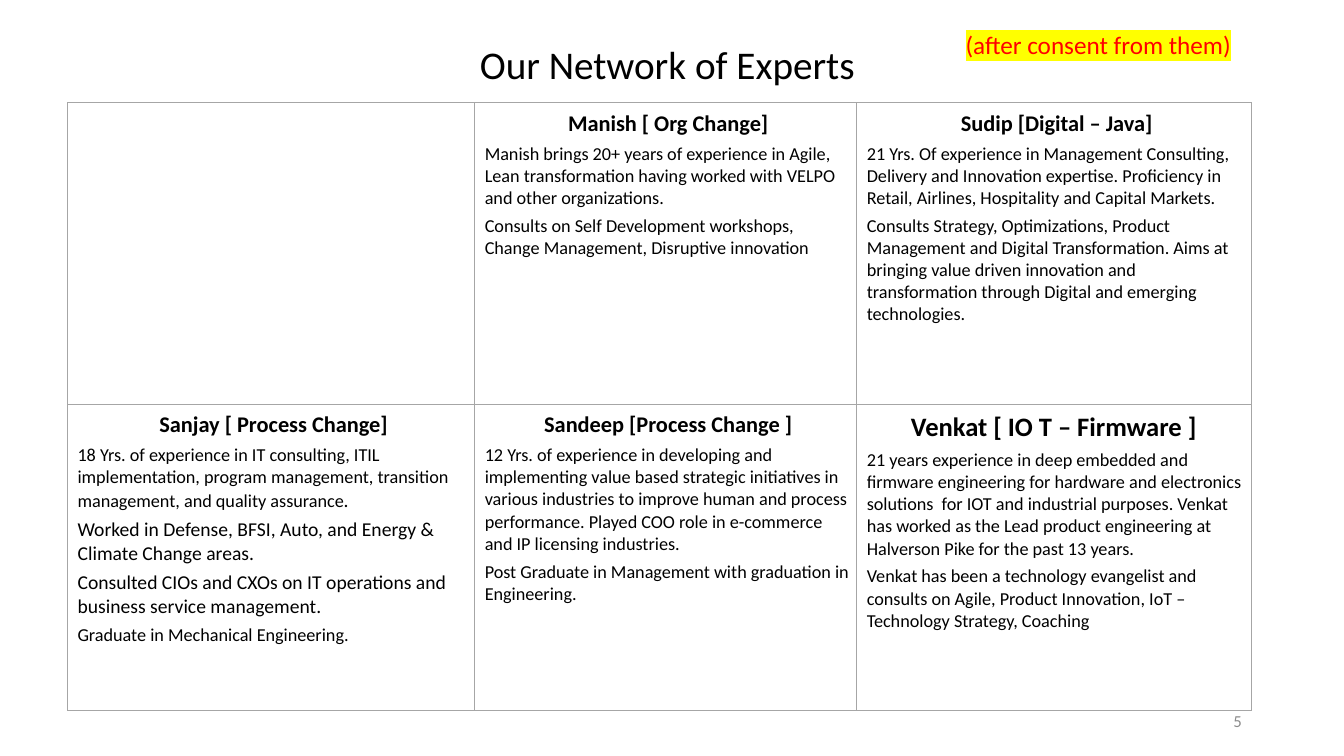
from lxml import etree
from pptx import Presentation
from pptx.dml.color import RGBColor as RGB
from pptx.enum.text import MSO_ANCHOR as ANCHOR, PP_ALIGN as ALIGN
from pptx.oxml import parse_xml
from pptx.oxml.ns import qn
from pptx.util import Pt

FONT, BLACK, WHITE, BORDER = "Calibri", "000000", "FFFFFF", "A6A6A6"
BODY, LARGE, HEAD = 13, 14, 16
NS = "http://schemas.openxmlformats.org/drawingml/2006/main"

# Each expert: heading, heading size, paragraphs; a paragraph lists (text, size) runs.
MANISH = ("Manish [ Org Change]", HEAD, [
    [("Manish brings 20+ years of experience in Agile, Lean transformation having "
      "worked with VELPO and other organizations. ", BODY)],
    [("Consults on Self Development workshops, Change Management, Disruptive "
      "innovation", BODY)],
])
SUDIP = ("Sudip [Digital – Java]", HEAD, [
    [("21 Yrs. Of experience in Management Consulting, Delivery and Innovation "
      "expertise. Proficiency in Retail, Airlines, Hospitality and Capital "
      "Markets. ", BODY)],
    [("Consults Strategy, Optimizations, Product Management and Digital "
      "Transformation. Aims at bringing value driven innovation and transformation "
      "through Digital and emerging technologies.", BODY)],
])
SANJAY = ("Sanjay [ Process Change]", HEAD, [
    [("18 Yrs. of experience in IT consulting, ITIL implementation, program "
      "management, transition management, and quality assurance", BODY), (".", LARGE)],
    [("Worked in Defense, BFSI, Auto, and Energy & Climate Change areas.", LARGE)],
    [("Consulted CIOs and CXOs on IT operations and business service management.",
      LARGE)],
    [("Graduate in Mechanical Engineering.", BODY)],
])
SANDEEP = ("Sandeep [Process Change ]", HEAD, [
    [("12 Yrs. of experience in developing and implementing value based strategic "
      "initiatives in various industries to improve human and process performance. "
      "Played COO role in e-commerce and IP licensing industries.", BODY)],
    [("Post Graduate in Management with graduation in Engineering.", BODY)],
])
VENKAT = ("Venkat [ IO T – Firmware ] ", 19, [
    [("21 years experience in deep embedded and firmware engineering for hardware "
      "and electronics solutions  for IOT and industrial purposes. Venkat has "
      "worked as the Lead product engineering at Halverson Pike for the past 13 "
      "years.", BODY)],
    [("Venkat has been a technology evangelist and consults on Agile, Product "
      "Innovation, IoT – Technology Strategy, Coaching", BODY)],
])
EXPERTS = [[None, MANISH, SUDIP], [SANJAY, SANDEEP, VENKAT]]
COLS, ROWS = (290.9, 272.9, 282.2), (215.3, 218.9)
TABLE_LEFT, TABLE_TOP = 48.2, 73.4

# Text, box in points, size, colour, highlight, alignment, anchor, wrap
LABELS = [
    ("Our Network of Experts", (335.5, 25.2, 282.2, 41), 28, BLACK, None,
     ALIGN.CENTER, ANCHOR.TOP, False),
    ("(after consent from them)", (682.6, 17.3, 206.6, 28.8), 18, "FF0000", "FFFF00",
     ALIGN.LEFT, ANCHOR.TOP, False),
    ("5", (678.2, 500.4, 216, 28.8), 12, "8C8C8C", None,
     ALIGN.RIGHT, ANCHOR.MIDDLE, True),
]


def set_all(obj, values):
    """Set every attribute in a dict on an object."""
    for name, value in values.items():
        setattr(obj, name, value)


def paint(fill, color):
    """Make a fill solid in a hex colour."""
    fill.solid()
    fill.fore_color.rgb = RGB.from_string(color)


def add_run(p, text, size, color=BLACK, bold=False):
    """Append a formatted run to a paragraph."""
    r = p.add_run()
    r.text = text
    set_all(r.font, {"name": FONT, "size": Pt(size), "bold": bold})
    paint(r.font.fill, color)
    return r


def highlight(r, color):
    """Mark a run with a background colour."""
    mark = etree.Element(qn("a:highlight"))
    etree.SubElement(mark, qn("a:srgbClr")).set("val", color)
    r.font.fill  # ensures the run properties exist
    r._r.rPr.find(qn("a:solidFill")).addnext(mark)


def add_label(slide, text, box, size, color, mark, align, anchor, wrap):
    """Add a one-line text box."""
    tf = slide.shapes.add_textbox(*map(Pt, box)).text_frame
    set_all(tf, {"word_wrap": wrap, "vertical_anchor": anchor})
    p = tf.paragraphs[0]
    p.alignment = align
    r = add_run(p, text, size, color)
    if mark:
        highlight(r, mark)


def style_cell(cell):
    """Give a cell its margins, fill and four borders."""
    set_all(cell, {"margin_left": Pt(7.2), "margin_right": Pt(3.6),
                   "margin_top": Pt(5), "margin_bottom": Pt(5)})
    paint(cell.fill, WHITE)
    tc_pr = cell._tc.get_or_add_tcPr()
    for i, side in enumerate("LRTB"):
        tc_pr.insert(i, parse_xml(
            f'<a:ln{side} xmlns:a="{NS}" w="{Pt(0.75)}"><a:solidFill>'
            f'<a:srgbClr val="{BORDER}"/></a:solidFill></a:ln{side}>'))


def fill_cell(cell, heading, size, paragraphs):
    """Write an expert's heading and profile into a cell."""
    tf = cell.text_frame
    for i, runs in enumerate([[(heading, size)], *paragraphs]):
        p = tf.add_paragraph() if i else tf.paragraphs[0]
        set_all(p, {"alignment": ALIGN.LEFT if i else ALIGN.CENTER,
                    "space_before": Pt(2), "space_after": Pt(2)})
        for text, run_size in runs:
            add_run(p, text, run_size, bold=not i)


def add_experts(slide):
    """Add the table of experts."""
    table = slide.shapes.add_table(
        len(ROWS), len(COLS), Pt(TABLE_LEFT), Pt(TABLE_TOP),
        Pt(sum(COLS)), Pt(sum(ROWS))).table
    set_all(table, {"first_row": False, "horz_banding": False})
    for col, width in zip(table.columns, COLS):
        col.width = Pt(width)
    for row, height, experts in zip(table.rows, ROWS, EXPERTS):
        row.height = Pt(height)
        for cell, expert in zip(row.cells, experts):
            style_cell(cell)
            if expert:
                fill_cell(cell, *expert)


prs = Presentation()
set_all(prs, {"slide_width": Pt(960), "slide_height": Pt(540)})
s = prs.slides.add_slide(prs.slide_layouts[6])
add_experts(s)
for label in LABELS:
    add_label(s, *label)
prs.save("out.pptx")
